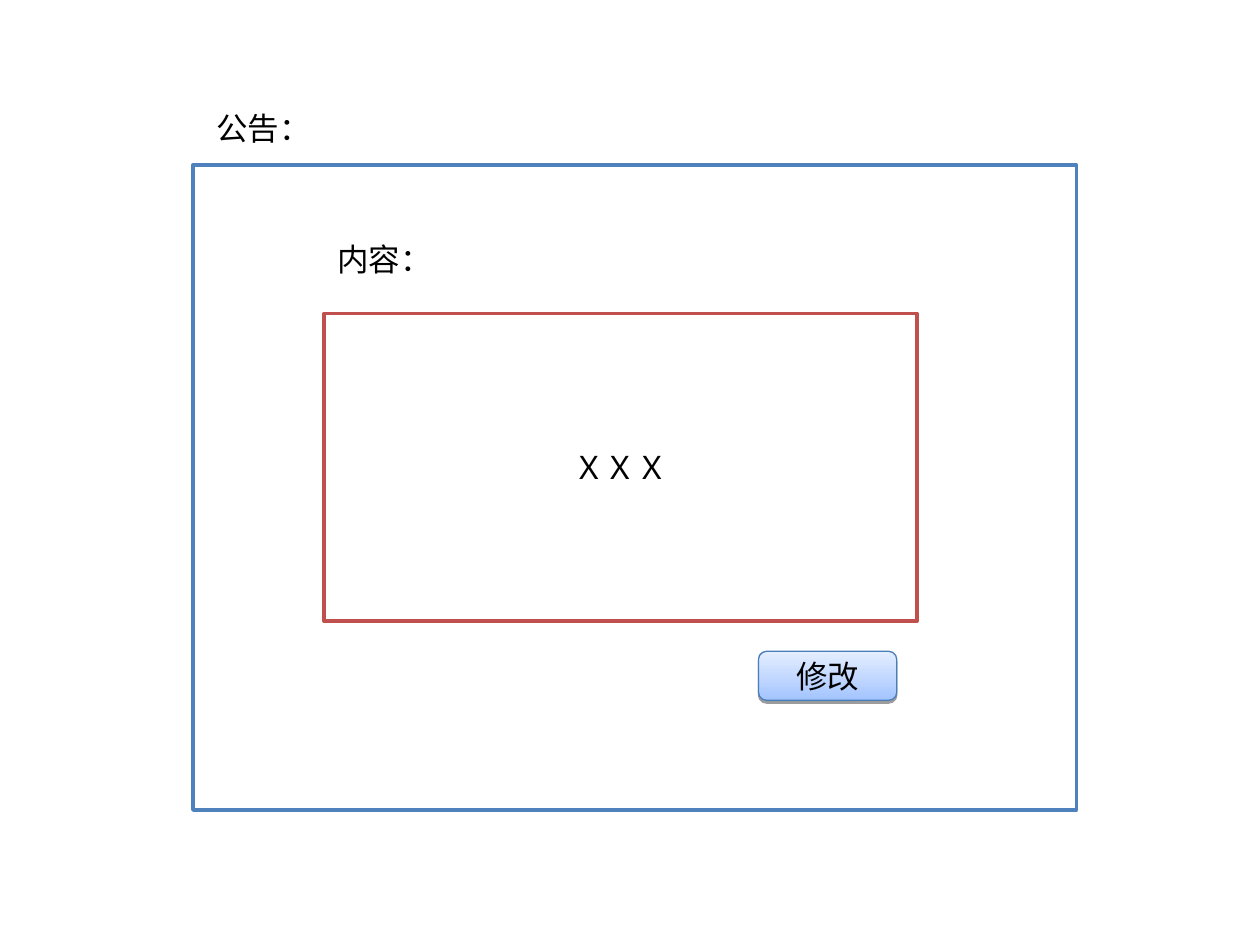
import pptx
import pptx.util
import pptx.dml.color
import pptx.enum.shapes
import pptx.enum.text
import pptx.oxml
import pptx.oxml.ns

Cm = pptx.util.Cm
Pt = pptx.util.Pt
SHAPE = pptx.enum.shapes.MSO_SHAPE
ALIGN = pptx.enum.text.PP_ALIGN
ANCHOR = pptx.enum.text.MSO_ANCHOR


def rgb(value):
    return pptx.dml.color.RGBColor.from_string(value)


def write(tf, text, font="Calibri", size=18, color="000000", align=ALIGN.LEFT):
    p = tf.paragraphs[0]
    p.alignment = align
    r = p.add_run()
    r.text = text
    r.font.name = font
    r.font.size = Pt(size)
    r.font.color.rgb = rgb(color)


class Mockup:
    blue = "4F81BD"
    red = "C0504D"
    white = "FFFFFF"
    button_line = "4A7EBB"
    button_stops = ("A3C4FF", "E5EEFF")

    def __init__(self, prs):
        self.s = prs.slides.add_slide(prs.slide_layouts[6])

    def shape(self, kind, box, line, width, text):
        sp = self.s.shapes.add_shape(kind, *map(Cm, box))
        sp.shadow.inherit = False
        sp.line.color.rgb = rgb(line)
        sp.line.width = Pt(width)
        if text:
            tf = sp.text_frame
            tf.word_wrap = True
            tf.vertical_anchor = ANCHOR.MIDDLE
            write(tf, text, align=ALIGN.CENTER)
        return sp

    def panel(self, box, line, text=None):
        sp = self.shape(SHAPE.RECTANGLE, box, line, 2, text)
        sp.fill.solid()
        sp.fill.fore_color.rgb = rgb(self.white)

    def label(self, left, top, text):
        sp = self.s.shapes.add_textbox(Cm(left), Cm(top), Cm(2.41), Cm(1.02))
        tf = sp.text_frame
        tf.word_wrap = False
        tf.auto_size = pptx.enum.text.MSO_AUTO_SIZE.SHAPE_TO_FIT_TEXT
        write(tf, text)

    def button(self, box, text):
        sp = self.shape(SHAPE.ROUNDED_RECTANGLE, box, self.button_line, 0.75, text)
        sp.fill.gradient()
        sp.fill.gradient_angle = 90
        for stop, color in zip(sp.fill.gradient_stops, self.button_stops):
            stop.color.rgb = rgb(color)
        effects = sp._element.spPr.find(pptx.oxml.ns.qn("a:effectLst"))
        effects.append(pptx.oxml.parse_xml(
            f'<a:outerShdw {pptx.oxml.ns.nsdecls("a")} blurRad="0" dist="{Pt(1.6)}"'
            ' dir="5400000" rotWithShape="0"><a:srgbClr val="000000">'
            '<a:alpha val="38000"/></a:srgbClr></a:outerShdw>'))


def main():
    prs = pptx.Presentation()
    prs.slide_width, prs.slide_height = Cm(25.4), Cm(19.05)
    page = Mockup(prs)
    page.panel((3.89, 3.33, 17.81, 13), page.blue)
    page.label(4.11, 2.08, "公告：")
    page.panel((6.53, 6.32, 11.96, 6.2), page.red, "ＸＸＸ")
    page.label(6.55, 4.72, "内容：")
    page.button((15.29, 13.13, 2.79, 0.99), "修改")
    prs.save("out.pptx")


if __name__ == "__main__":
    main()
